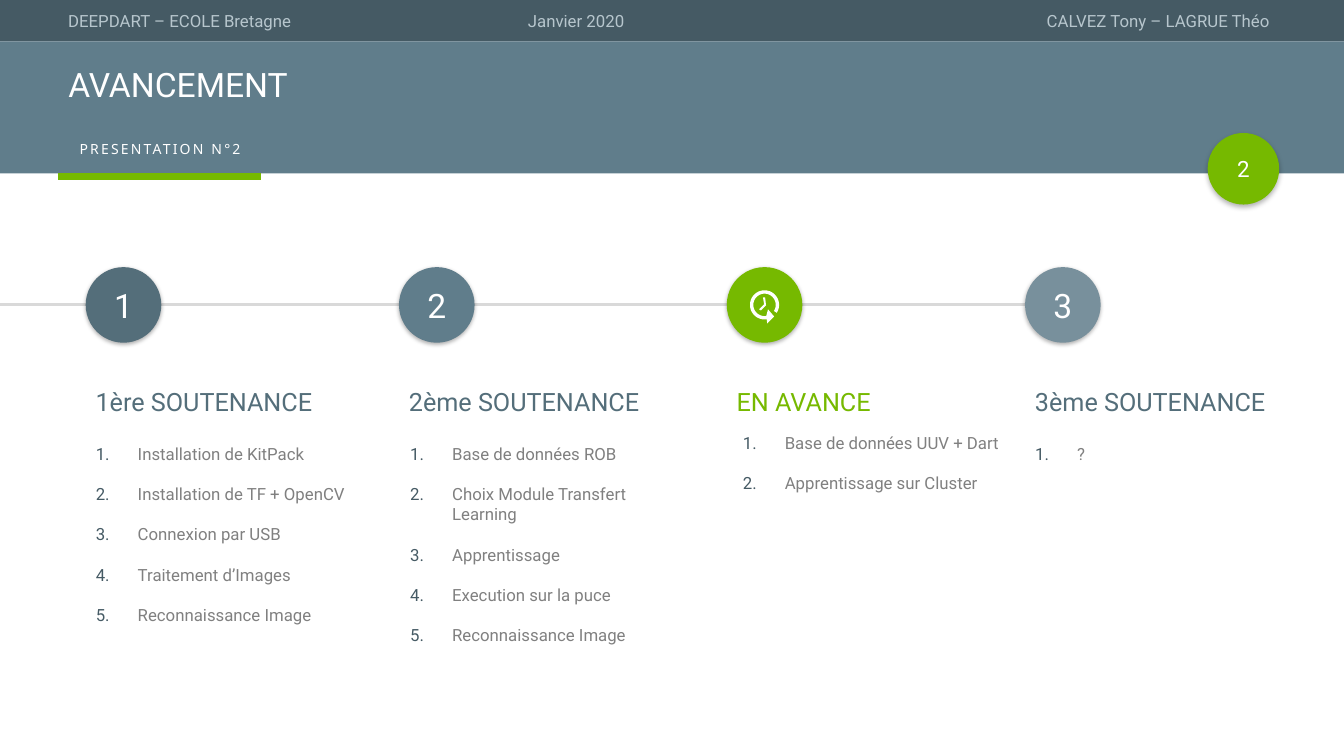
from dataclasses import dataclass
from math import cos, radians, sin

from lxml.etree import SubElement
from pptx import Presentation
from pptx.dml.color import RGBColor
from pptx.enum.shapes import MSO_CONNECTOR as Line, MSO_SHAPE as Preset
from pptx.enum.text import MSO_ANCHOR as Anchor, MSO_AUTO_SIZE as Fit, PP_ALIGN as Align
from pptx.oxml.ns import qn
from pptx.util import Pt


@dataclass(frozen=True)
class Theme:
    font: str = "Roboto"
    tab_font: str = "Noto Sans"
    white: str = "FFFFFF"
    dark: str = "455A64"
    slate: str = "546E7A"
    blue: str = "607D8B"
    pale: str = "78909C"
    green: str = "76B900"
    header: str = "B7C6CD"
    body: str = "808080"
    rail: str = "D9D9D9"
    title_size: float = 24
    heading_size: float = 18
    page_size: float = 16
    body_size: float = 12
    tab_size: float = 10


def apply(target, formats):
    for name, value in formats.items():
        setattr(target, name, value)


def paint(shape, color):
    shape.shadow.inherit = False
    shape.fill.solid()
    shape.fill.fore_color.rgb = RGBColor.from_string(color)
    shape.line.fill.background()


class SlideBuilder:
    def __init__(self, slide, theme):
        self.slide = slide
        self.shapes = slide.shapes
        self.theme = theme

    def set_text(self, shape, lines, size, color, align=Align.LEFT, anchor=Anchor.TOP,
                 wrap=True, font=None, spacing=None, line_spacing=1.0, gap=0):
        frame = shape.text_frame
        apply(frame, {"word_wrap": wrap, "vertical_anchor": anchor, "auto_size": Fit.NONE})
        frame.text = "\n".join(lines)
        for paragraph in frame.paragraphs:
            apply(paragraph, {"alignment": align, "line_spacing": line_spacing,
                              "space_before": Pt(0), "space_after": Pt(gap)})
            for run in paragraph.runs:
                apply(run.font, {"name": font or self.theme.font, "size": Pt(size), "bold": False})
                run.font.color.rgb = RGBColor.from_string(color)
                if spacing:
                    run._r.get_or_add_rPr().set("spc", str(round(spacing * 100)))

    def place(self, placeholder, left, top, width, height):
        """Move a placeholder into position and in front of the shapes drawn so far."""
        apply(placeholder, {"left": Pt(left), "top": Pt(top),
                            "width": Pt(width), "height": Pt(height)})
        self.shapes._spTree.append(placeholder._element)

    def title(self, text, *box):
        self.place(self.shapes.title, *box)
        self.set_text(self.shapes.title, [text], self.theme.title_size, self.theme.white,
                      line_spacing=0.9)

    def numbered_list(self, placeholder, items, *box):
        self.place(placeholder, *box)
        self.set_text(placeholder, items, self.theme.body_size, self.theme.body, gap=14.4)
        for paragraph in placeholder.text_frame.paragraphs:
            properties = paragraph._p.get_or_add_pPr()
            properties.set("marL", str(Pt(30)))
            properties.set("indent", str(Pt(-30)))
            number_color = SubElement(properties, qn("a:buClr"))
            SubElement(number_color, qn("a:srgbClr"), val=self.theme.dark)
            SubElement(properties, qn("a:buFont"), typeface=self.theme.font)
            SubElement(properties, qn("a:buAutoNum"), type="arabicPeriod")

    def text(self, text, left, top, width, height, size, color, **formats):
        box = self.shapes.add_textbox(Pt(left), Pt(top), Pt(width), Pt(height))
        self.set_text(box, [text], size, color, **formats)

    def band(self, top, height, color):
        paint(self.shapes.add_shape(Preset.RECTANGLE, 0, Pt(top), Pt(960), Pt(height)), color)

    def line(self, left, right, y, color, width):
        rule = self.shapes.add_connector(Line.STRAIGHT, Pt(left), Pt(y), Pt(right), Pt(y))
        rule.line.color.rgb = RGBColor.from_string(color)
        rule.line.width = Pt(width)
        SubElement(rule._element.spPr, qn("a:effectLst"))

    def badge(self, label, left, top, diameter, color, size, blur, distance):
        """Draw a circle with a soft shadow below it and a centred label."""
        circle = self.shapes.add_shape(Preset.OVAL, Pt(left), Pt(top), Pt(diameter), Pt(diameter))
        paint(circle, color)
        effects = circle._element.spPr.find(qn("a:effectLst"))
        shadow = SubElement(effects, qn("a:outerShdw"), blurRad=str(Pt(blur)),
                            dist=str(Pt(distance)), dir="5400000", algn="t", rotWithShape="0")
        black = SubElement(shadow, qn("a:srgbClr"), val="000000")
        SubElement(black, qn("a:alpha"), val="30000")
        if label:
            self.set_text(circle, [label], size, self.theme.white, Align.CENTER, Anchor.MIDDLE,
                          wrap=False)

    def clock(self, center_x, center_y):
        """Draw a clock whose open ring ends in an arrowhead."""
        def arc(radius, angles):
            return [(radius * cos(radians(a)), radius * sin(radians(a))) for a in angles]

        angles = range(81, 394, 6)
        arrowhead = [(1.9, 13.3), (6.9, 8.3), (2.5, 3.2)]
        ring = arc(10.4, reversed(angles)) + arrowhead + arc(8, angles)
        hands = [(-2.5, 4), (1.1, 0.4), (0.4, -5.4), (-1.1, -5.4), (-0.3, -0.4), (-3.9, 3.2)]
        contours = [[(Pt(center_x + x), Pt(center_y + y)) for x, y in contour]
                    for contour in (ring, hands)]
        builder = self.shapes.build_freeform(*contours[0][0])
        builder.add_line_segments(contours[0][1:])
        builder.move_to(*contours[1][0])
        builder.add_line_segments(contours[1][1:])
        paint(builder.convert_to_shape(), self.theme.white)


def main():
    deck = Presentation()
    deck.slide_width, deck.slide_height = Pt(960), Pt(540)
    theme = Theme()
    comparison_layout = deck.slide_layouts[4]
    page = SlideBuilder(deck.slides.add_slide(comparison_layout), theme)

    page.band(0, 29.5, theme.dark)
    page.band(29.5, 94.3, theme.blue)
    for text, left, top, align in (
        ("DEEPDART – ECOLE Bretagne", 41.6, 4.4, Align.LEFT),
        ("Janvier 2020", 370, 4.1, Align.LEFT),
        ("CALVEZ Tony – LAGRUE Théo", 514, 4.4, Align.RIGHT),
    ):
        page.text(text, left, top, 400, 21.8, theme.body_size, theme.header, align=align)
    page.title("AVANCEMENT", 41.6, 45.4, 884, 34)
    page.text("PRESENTATION N°2", 41.6, 97, 145.4, 19.4, theme.tab_size, theme.white,
              align=Align.CENTER, font=theme.tab_font, spacing=1.6)
    page.line(41.6, 186.5, 126, theme.green, 4.5)
    page.badge("2", 862.6, 95, 51.1, theme.green, theme.page_size, 4, 2)

    page.line(0, 732.2, 217.8, theme.rail, 2)
    stages = (
        ("1", "1ère SOUTENANCE", theme.slate, theme.slate, 61.2, 61.2, 313.2,
         ["Installation de KitPack", "Installation de TF + OpenCV", "Connexion par USB",
          "Traitement d’Images", "Reconnaissance Image"]),
        ("2", "2ème SOUTENANCE", theme.blue, theme.slate, 285, 285.8, 313.2,
         ["Base de données ROB", "Choix Module Transfert Learning", "Apprentissage",
          "Execution sur la puce", "Reconnaissance Image"]),
        ("", "EN AVANCE", theme.green, theme.green, 519.1, 523.4, 305.6,
         ["Base de données UUV + Dart", "Apprentissage sur Cluster"]),
        ("3", "3ème SOUTENANCE", theme.pale, theme.slate, 732.2, 732.2, 313.2, ["?"]),
    )
    list_holders = list(page.slide.placeholders)[1:]
    for holder, stage in zip(list_holders, stages):
        number, heading, fill, heading_color, left, list_left, list_top, tasks = stage
        page.badge(number, left, 190.8, 54, fill, theme.title_size, 3, 1)
        if not number:
            page.clock(left + 27, 217.8)
        page.text(heading, left, 272.2, 186, 28.8, theme.heading_size, heading_color, wrap=False)
        page.numbered_list(holder, tasks, list_left, list_top, 213.8, 8 + 32 * len(tasks))

    deck.save("out.pptx")


if __name__ == "__main__":
    main()
